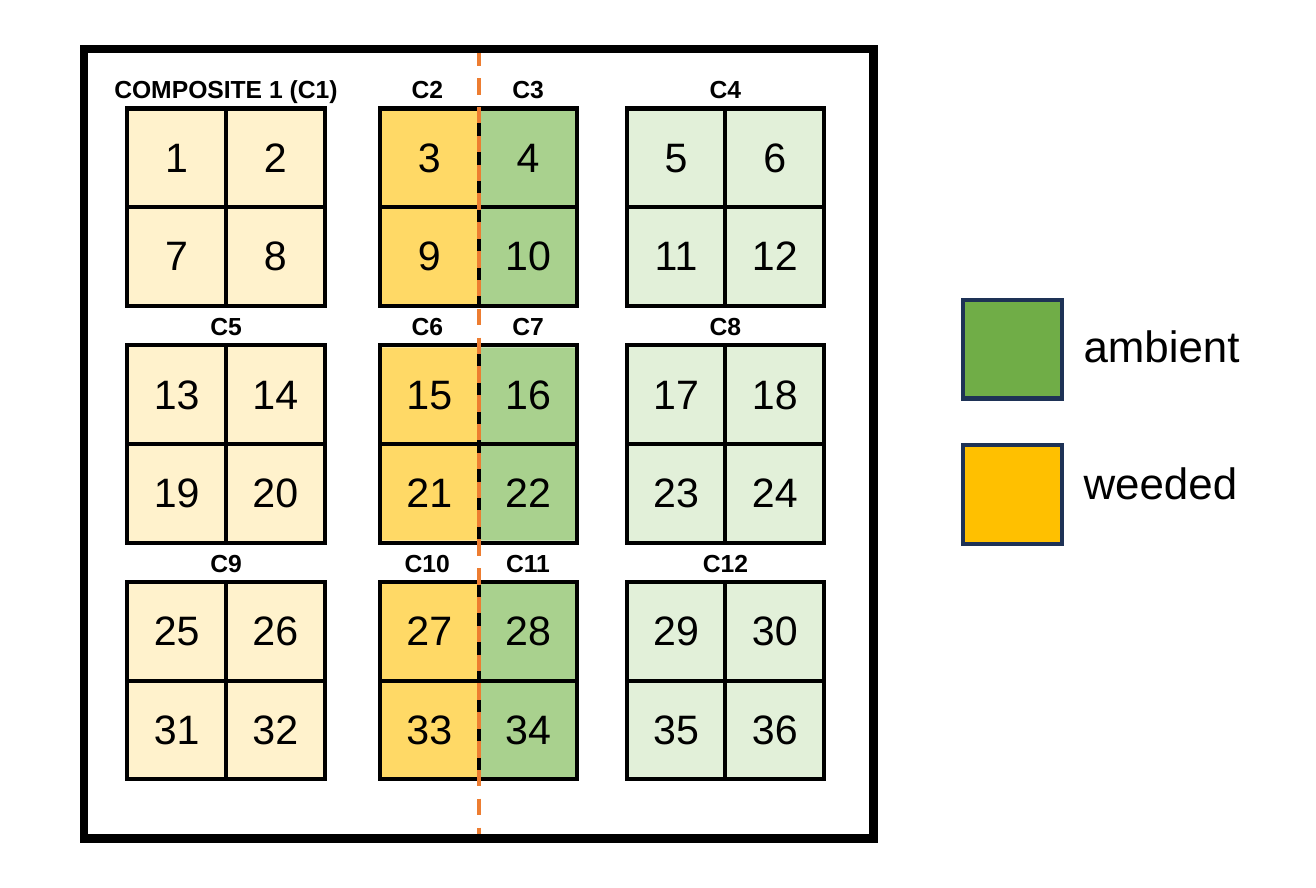
from lxml.etree import SubElement
from pptx import Presentation
from pptx.dml.color import RGBColor
from pptx.enum.dml import MSO_LINE
from pptx.enum.shapes import MSO_CONNECTOR, MSO_SHAPE
from pptx.enum.text import MSO_AUTO_SIZE, PP_ALIGN
from pptx.oxml.ns import qn
from pptx.util import Inches, Pt

# Content
HUES = {"black": "000000", "cream": "FFF2CC", "gold": "FFD966",
        "green": "A9D18E", "pale": "E2F0D9", "split": "ED7D31",
        "ambient": "70AD47", "weeded": "FFC000", "navy": "1E3256"}
FONT = "Arial"
LABELS = [["COMPOSITE 1 (C1)", "C2", "C3", "C4"],
          ["C5", "C6", "C7", "C8"],
          ["C9", "C10", "C11", "C12"]]
# Legend: name, box top, text top, text width
LEGEND = [("ambient", 3.04, 3.18, 1.8), ("weeded", 4.51, 4.57, 1.77)]

# Layout, in inches
BLOCKS = [(1.29, "cream"), (3.85, None), (6.35, "pale")]
TOPS = [1.1, 3.5, 5.9]
CELL = 1
SIDE = 2 * CELL
MID = 3.85 + CELL
MIDS = [2.29, 4.33, 5.35, 7.35]
WIDTHS = {2: 0.52, 3: 0.66, 16: 2.49}

deck = Presentation()
deck.slide_width, deck.slide_height = Inches(40 / 3), Inches(9)
slide = deck.slides.add_slide(deck.slide_layouts[6])


def paint(hue):
    return RGBColor.from_string(HUES[hue])


def box(x, y, w, h, fill=None, line=None, weight=3):
    shape = slide.shapes.add_shape(
        MSO_SHAPE.RECTANGLE, Inches(x), Inches(y), Inches(w), Inches(h))
    shape.shadow.inherit = False
    if fill:
        shape.fill.solid()
        shape.fill.fore_color.rgb = paint(fill)
    else:
        shape.fill.background()
    if line:
        shape.line.color.rgb = paint(line)
        shape.line.width = Pt(weight)
        # Square corners
        edge = shape._element.spPr.find(qn("a:ln"))
        SubElement(edge, qn("a:miter"), lim="800000")
    else:
        shape.line.fill.background()


def rule(x1, y1, x2, y2, hue="black", dash=None):
    line = slide.shapes.add_connector(
        MSO_CONNECTOR.STRAIGHT, Inches(x1), Inches(y1), Inches(x2), Inches(y2))
    line.line.color.rgb = paint(hue)
    line.line.width = Pt(3)
    if dash:
        line.line.dash_style = dash
    SubElement(line._element.spPr, qn("a:effectLst"))


def write(text, x, y, w, h, size, bold=False, align=PP_ALIGN.CENTER):
    frame = slide.shapes.add_textbox(
        Inches(x), Inches(y), Inches(w), Inches(h)).text_frame
    frame.word_wrap = False
    frame.auto_size = MSO_AUTO_SIZE.SHAPE_TO_FIT_TEXT
    para = frame.paragraphs[0]
    para.alignment = align
    run = para.add_run()
    run.text = text
    run.font.name, run.font.size, run.font.bold = FONT, Pt(size), bold
    run.font.color.rgb = paint("black")


# Halves of the middle blocks
for top in TOPS:
    box(MID, top + 0.02, CELL, 1.96, "green")
for top in TOPS:
    box(MID - CELL, top + 0.02, CELL, 1.96, "gold")

# Blocks of four plots
for top in TOPS:
    for left, fill in BLOCKS:
        box(left, top, SIDE, SIDE, fill, "black")
for top in TOPS:
    for left, _ in BLOCKS:
        rule(left + CELL, top, left + CELL, top + SIDE)
        rule(left, top + CELL, left + SIDE, top + CELL)

# Dividing line and field border
rule(MID, 0.5, MID, 8.5, "split", MSO_LINE.DASH)
box(0.85, 0.5, 8, 8, None, "black", 6)

# Composite labels
for top, names in zip(TOPS, LABELS):
    for mid, name in zip(MIDS, names):
        wide = WIDTHS[len(name)]
        write(name, mid - wide / 2, top - 0.4, wide, 0.4, 18, True)

# Plot numbers, counted along each row of six
lefts = [left + step * CELL for left, _ in BLOCKS for step in range(2)]
rows = [top + step * CELL for top in TOPS for step in range(2)]
for row, top in enumerate(rows):
    for col, left in enumerate(lefts):
        num = str(row * len(lefts) + col + 1)
        wide = 0.21 + 0.23 * len(num)
        write(num, left + (CELL - wide) / 2, top + 0.18, wide, 0.61, 30)

# Legend
for name, top, base, wide in LEGEND:
    box(9.76, top, 1, 1, name, "navy")
    write(name, 10.88, base, wide, 0.64, 32, align=PP_ALIGN.LEFT)

deck.save("out.pptx")
